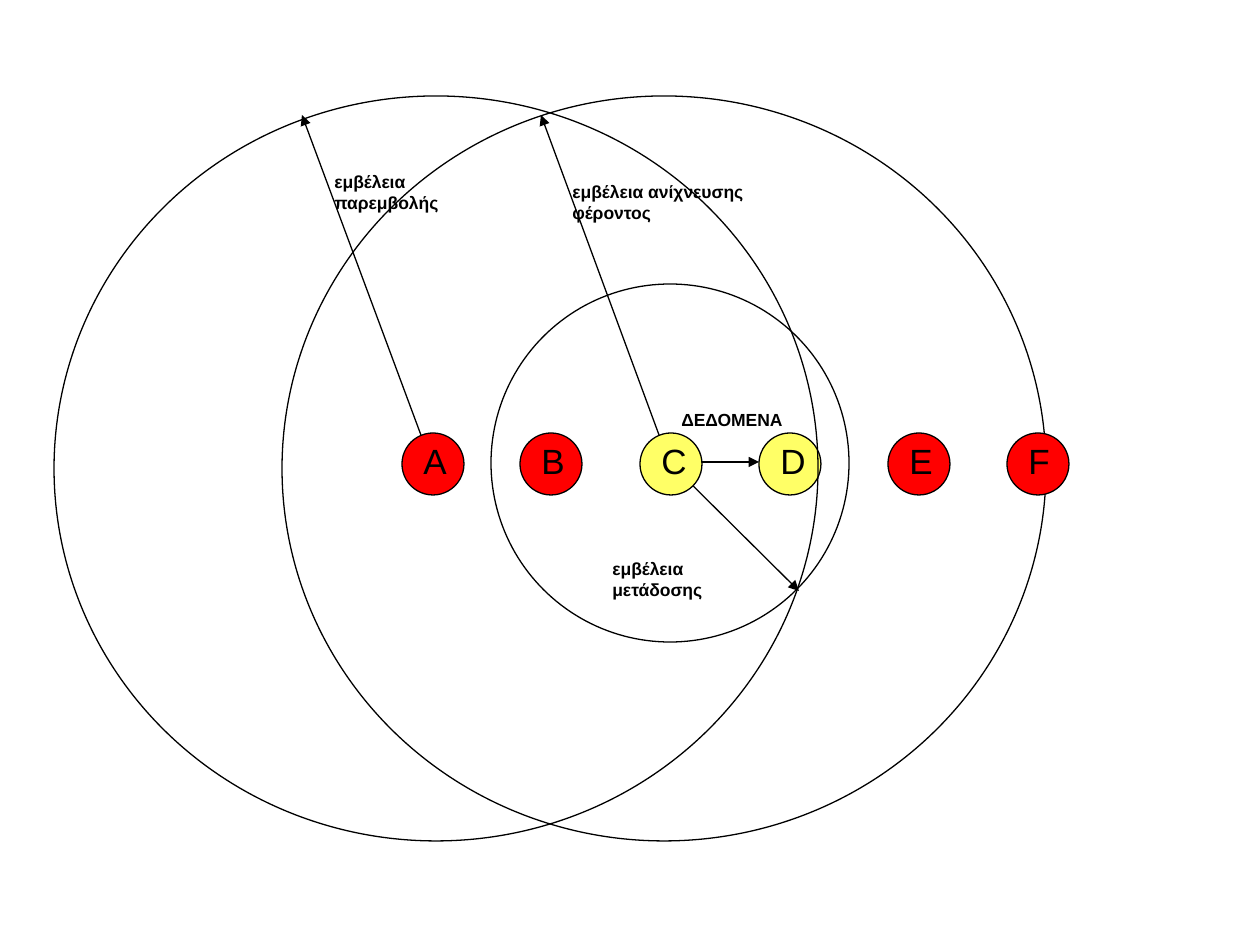
import pptx
import pptx.util
from lxml import etree
from pptx.dml.color import RGBColor
from pptx.enum.shapes import MSO_CONNECTOR, MSO_SHAPE
from pptx.enum.text import MSO_ANCHOR, PP_ALIGN
from pptx.oxml.ns import qn

PX = 914400 / 126
BLACK = RGBColor(0x00, 0x00, 0x00)
RED = RGBColor(0xFF, 0x00, 0x00)
YELLOW = RGBColor(0xFF, 0xFF, 0x66)
LINE_WIDTH = pptx.util.Pt(0.75)

NODE_TOP, NODE_SIZE = 433, 62
RANGE_TOP, RANGE_WIDTH, RANGE_HEIGHT = 96, 764, 745
AXIS_Y = 462
A_X, C_X = 431, 669


def emu(*lengths):
    return [pptx.util.Emu(round(n * PX)) for n in lengths]


def add_ellipse(shapes, x, y, w, h, fill=None):
    s = shapes.add_shape(MSO_SHAPE.OVAL, *emu(x, y, w, h))
    s.shadow.inherit = False
    if fill is None:
        s.fill.background()
    else:
        s.fill.solid()
        s.fill.fore_color.rgb = fill
    s.line.color.rgb = BLACK
    s.line.width = LINE_WIDTH


def add_text(shapes, text, x, y, w, h, size=10, bold=True):
    tf = shapes.add_textbox(*emu(x, y, w, h)).text_frame
    tf.word_wrap = True
    p = tf.paragraphs[0]
    r = p.add_run()
    r.text = text
    r.font.name = "Arial"
    r.font.size = pptx.util.Pt(size)
    r.font.bold = bold
    r.font.color.rgb = BLACK
    return tf


def add_node(shapes, letter, x, fill):
    group = shapes.add_group_shape()
    add_ellipse(group.shapes, x, NODE_TOP, NODE_SIZE, NODE_SIZE, fill)
    tf = add_text(group.shapes, letter, x + 9, NODE_TOP + 4, 43, 52, 20, False)
    tf.vertical_anchor = MSO_ANCHOR.MIDDLE
    p = tf.paragraphs[0]
    p.alignment = PP_ALIGN.CENTER
    p.line_spacing = 0.93


def add_arrow(shapes, x1, y1, x2, y2):
    c = shapes.add_connector(MSO_CONNECTOR.STRAIGHT, *emu(x1, y1, x2, y2))
    c.line.color.rgb = BLACK
    c.line.width = LINE_WIDTH
    etree.SubElement(c.line._get_or_add_ln(), qn("a:tailEnd"), type="triangle")
    etree.SubElement(c._element.spPr, qn("a:effectLst"))


def main():
    prs = pptx.Presentation()
    prs.slide_width = pptx.util.Inches(10)
    prs.slide_height = pptx.util.Inches(7.5)
    shapes = prs.slides.add_slide(prs.slide_layouts[6]).shapes

    # Stations behind the ranges
    for letter, x, fill in (("B", 520, RED), ("E", 888, RED), ("D", 759, YELLOW)):
        add_node(shapes, letter, x, fill)

    # Transmission range of C and its data to D
    add_ellipse(shapes, 491, 284, 358, 358)
    add_arrow(shapes, C_X, AXIS_Y, 799, 591)
    add_text(shapes, "εμβέλεια μετάδοσης", 600, 552, 189, 55)
    add_arrow(shapes, C_X, AXIS_Y, 759, AXIS_Y)
    add_text(shapes, "ΔΕΔΟΜΕΝΑ", 669, 403, 129, 34)

    # Carrier sensing range of C
    add_ellipse(shapes, 282, RANGE_TOP, RANGE_WIDTH, RANGE_HEIGHT)
    add_node(shapes, "F", 1007, RED)
    add_arrow(shapes, C_X, AXIS_Y, 541, 115)
    add_node(shapes, "C", 640, YELLOW)
    add_text(shapes, "εμβέλεια ανίχνευσης φέροντος", 560, 175, 268, 55)

    # Interference range of A
    add_ellipse(shapes, 54, RANGE_TOP, RANGE_WIDTH, RANGE_HEIGHT)
    add_arrow(shapes, A_X, AXIS_Y, 302, 115)
    add_node(shapes, "A", 402, RED)
    add_text(shapes, "εμβέλεια παρεμβολής", 322, 165, 189, 55)

    prs.save("out.pptx")


if __name__ == "__main__":
    main()
